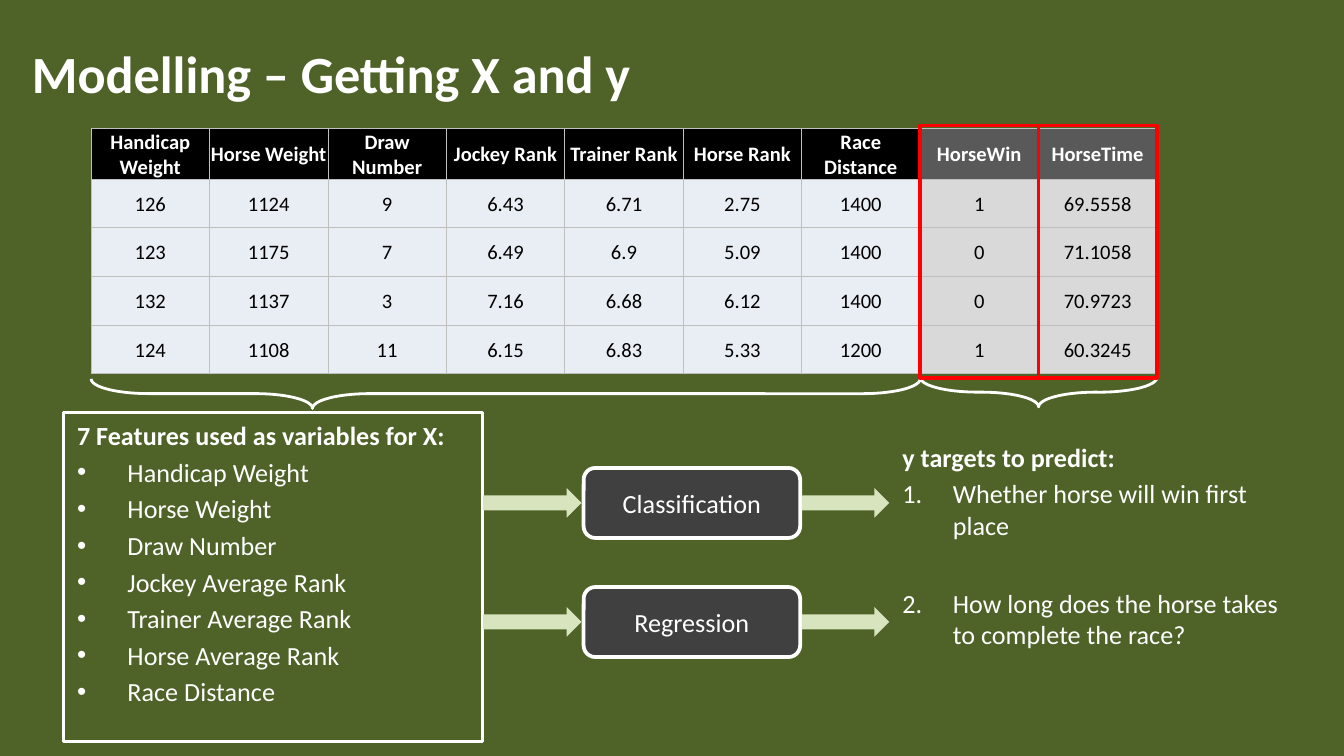
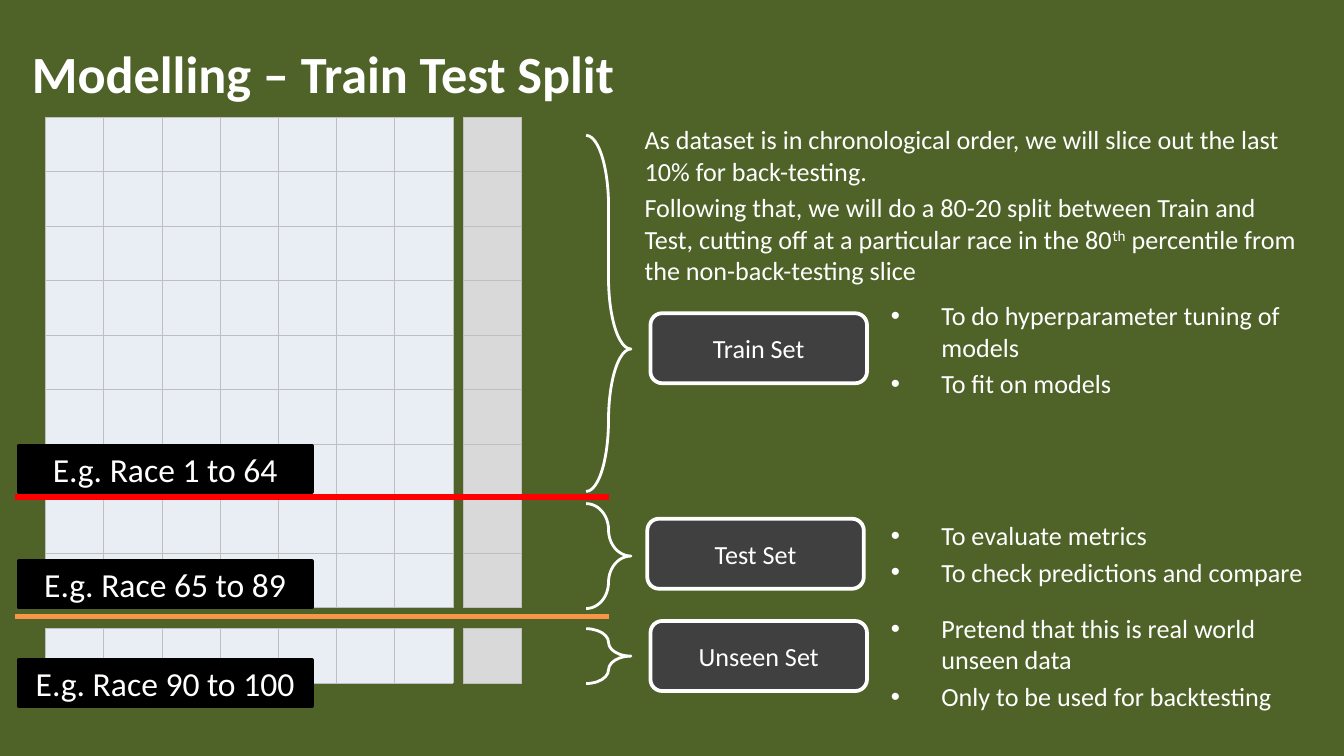
from lxml import etree
from pptx import Presentation
from pptx.dml.color import RGBColor
from pptx.enum import shapes, text
from pptx.oxml.ns import qn
from pptx.util import Pt

FONT = "Calibri"
GREEN, PALE_GREEN = "4F6228", "D7E4BD"
WHITE, BLACK, RED, ORANGE = "FFFFFF", "000000", "FF0000", "F79646"
CHARCOAL, DARK_GRAY, GRID_GRAY = "404040", "595959", "BFBFBF"
FEATURE_FILL, TARGET_FILL = "E9EDF4", "D9D9D9"
HANGING = 27
LEFT, CENTER = text.PP_ALIGN.LEFT, text.PP_ALIGN.CENTER
TOP, MIDDLE = text.MSO_ANCHOR.TOP, text.MSO_ANCHOR.MIDDLE
KIND = shapes.MSO_SHAPE


def color(value):
    return RGBColor.from_string(value)


def write(frame, paragraphs, size=14, ink=WHITE, bold=False, align=LEFT, anchor=TOP,
          bullet=None, start=1, heading=None):
    """Fill a frame; in a tuple of spans, every second span is superscript."""
    frame.word_wrap = True
    frame.vertical_anchor = anchor
    lines = ([heading] if heading else []) + list(paragraphs)
    for index, line in enumerate(lines):
        para = frame.paragraphs[0] if index == 0 else frame.add_paragraph()
        para.alignment = align
        is_heading = heading is not None and index == 0
        if index:
            para.space_before = Pt(2.8)
        if bullet and not is_heading:
            add_bullet(para, bullet, start)
        spans = (line,) if isinstance(line, str) else line
        for position, words in enumerate(spans):
            span = para.add_run()
            span.text = words
            span.font.name = FONT
            span.font.size = Pt(size)
            span.font.bold = bold or is_heading
            span.font.color.rgb = color(ink)
            if position % 2:
                span.font._element.set("baseline", "30000")


def add_bullet(para, bullet, start):
    props = para._p.get_or_add_pPr()
    props.set("marL", str(Pt(HANGING)))
    props.set("indent", str(-Pt(HANGING)))
    if bullet == "number":
        etree.SubElement(props, qn("a:buAutoNum"), type="arabicPeriod", startAt=str(start))
    else:
        etree.SubElement(props, qn("a:buFont"), typeface="Arial")
        etree.SubElement(props, qn("a:buChar"), char=bullet)


class Slides:
    """Holds the deck, the current page and the shared look."""

    def __init__(self):
        self.deck = Presentation()
        self.deck.slide_width, self.deck.slide_height = Pt(720), Pt(405)
        self.page = None

    def new_page(self, title):
        self.page = self.deck.slides.add_slide(self.deck.slide_layouts[6])
        background = self.page.background.fill
        background.solid()
        background.fore_color.rgb = color(GREEN)
        self.words(10, 8.6, 649.4, 60.5, [title], size=28, bold=True, anchor=MIDDLE)

    def words(self, left, top, width, height, paragraphs, **style):
        box = self.page.shapes.add_textbox(Pt(left), Pt(top), Pt(width), Pt(height))
        write(box.text_frame, paragraphs, **style)

    def shape(self, kind, left, top, width, height, fill=None, line=None, weight=2):
        shape = self.page.shapes.add_shape(kind, Pt(left), Pt(top), Pt(width), Pt(height))
        shape.shadow.inherit = False
        if fill:
            shape.fill.solid()
            shape.fill.fore_color.rgb = color(fill)
        else:
            shape.fill.background()
        if line:
            shape.line.color.rgb = color(line)
            shape.line.width = Pt(weight)
        else:
            shape.line.fill.background()
        return shape

    def step(self, left, top, label):
        box = self.shape(KIND.ROUNDED_RECTANGLE, left, top, 116, 37.5, CHARCOAL, WHITE)
        write(box.text_frame, [label], align=CENTER, anchor=MIDDLE)

    def race_label(self, top, label):
        box = self.shape(KIND.RECTANGLE, 10, top, 157, 24.8, BLACK, BLACK)
        write(box.text_frame, [label], size=18, align=CENTER, anchor=MIDDLE)

    def brace(self, left, top, width, height, curve, tip=0.5, rotation=0):
        brace = self.shape(KIND.RIGHT_BRACE, left, top, width, height, line=WHITE, weight=1.5)
        brace.adjustments[0], brace.adjustments[1] = curve, tip
        brace.rotation = rotation

    def brace_below(self, left, top, length, tip=0.5):
        depth = 15.8
        self.brace(left + (length - depth) / 2, top - (length - depth) / 2,
                   depth, length, 1.954, tip, rotation=90)

    def divider(self, top, ink):
        line = self.page.shapes.add_connector(
            shapes.MSO_CONNECTOR.STRAIGHT, Pt(8), Pt(top), Pt(326), Pt(top))
        line.line.color.rgb = color(ink)
        line.line.width = Pt(3)
        etree.SubElement(line._element.spPr, qn("a:effectLst"))

    def table(self, left, top, column_width, row_height, rows, fill_for):
        """Draw rows of text; fill_for(row, column) gives each cell's fill."""
        count, columns = len(rows), len(rows[0])
        table = self.page.shapes.add_table(
            count, columns, Pt(left), Pt(top),
            Pt(column_width * columns), Pt(row_height * count)).table
        table.first_row = table.horz_banding = False
        for column in table.columns:
            column.width = Pt(column_width)
        for r, row in enumerate(rows):
            table.rows[r].height = Pt(row_height)
            for c, words in enumerate(row):
                cell = table.cell(r, c)
                cell.margin_left = cell.margin_right = cell.margin_top = Pt(0.7)
                cell.margin_bottom = 0
                self.cell_borders(cell)
                cell.fill.solid()
                cell.fill.fore_color.rgb = color(fill_for(r, c))
                if words:
                    write(cell.text_frame, [words], size=11, bold=r == 0,
                          ink=WHITE if r == 0 else BLACK, align=CENTER)
                    cell.vertical_anchor = MIDDLE

    @staticmethod
    def cell_borders(cell):
        props = cell._tc.get_or_add_tcPr()
        for side in "LRTB":
            border = etree.SubElement(props, qn(f"a:ln{side}"), w=str(Pt(0.5)))
            fill = etree.SubElement(border, qn("a:solidFill"))
            etree.SubElement(fill, qn("a:srgbClr"), val=GRID_GRAY)

    def empty_grid(self, left, top, rows, columns, fill):
        self.table(left, top, 31.2, 29.2, [[""] * columns] * rows, lambda r, c: fill)


def build_features_page(slides):
    slides.new_page("Modelling – Getting X and y")

    # Data table, with its two target columns in grey
    rows = [
        ["Handicap Weight", "Horse Weight", "Draw Number", "Jockey Rank", "Trainer Rank",
         "Horse Rank", "Race Distance", "HorseWin", "HorseTime"],
        ["126", "1124", "9", "6.43", "6.71", "2.75", "1400", "1", "69.5558"],
        ["123", "1175", "7", "6.49", "6.9", "5.09", "1400", "0", "71.1058"],
        ["132", "1137", "3", "7.16", "6.68", "6.12", "1400", "0", "70.9723"],
        ["124", "1108", "11", "6.15", "6.83", "5.33", "1200", "1", "60.3245"],
    ]
    features = 7
    left, column = 48.8, 63.45

    def fill_for(r, c):
        if r == 0:
            return BLACK if c < features else DARK_GRAY
        return FEATURE_FILL if c < features else TARGET_FILL

    slides.table(left, 68.8, column, 26.1, rows, fill_for)

    # Braces and red frames
    split = left + features * column
    slides.brace_below(left, 203, features * column, tip=0.733)
    slides.brace_below(split, 202.2, 2 * column)
    for number in range(2):
        slides.shape(KIND.RECTANGLE, split + number * column, 67.2, column, 135.2, line=RED)

    # Features, models and targets
    panel = slides.shape(KIND.RECTANGLE, 34.2, 221.2, 224.5, 176, line=WHITE, weight=1.5)
    write(panel.text_frame,
          ["Handicap Weight", "Horse Weight", "Draw Number", "Jockey Average Rank",
           "Trainer Average Rank", "Horse Average Rank", "Race Distance"],
          heading="7 Features used as variables for X:", bullet="•")
    for top, model in ((250.7, "Classification"), (314.5, "Regression")):
        slides.step(312.7, top, model)
        for start, width in ((258.7, 52.8), (429.6, 46.8)):
            slides.shape(KIND.RIGHT_ARROW, start, top + 10.7, width, 16, PALE_GREEN)
    slides.words(476.4, 232.7, 224.5, 67, ["Whether horse will win first place"],
                 heading="y targets to predict:", bullet="number")
    slides.words(476.4, 311, 224.5, 45.4,
                 ["How long does the horse takes to complete the race?"],
                 bullet="number", start=2)


def build_split_page(slides):
    slides.new_page("Modelling – Train Test Split")
    slides.words(338.2, 62.8, 366.5, 90, [
        "As dataset is in chronological order, we will slice out the last 10% for back-testing.",
        ("Following that, we will do a 80-20 split between Train and Test, cutting off at a "
         "particular race in the 80", "th", " percentile from the non-back-testing slice"),
    ])

    # Data grids: features and target, known rows above unseen ones
    for top, rows in ((62.7, 9), (336.7, 1)):
        slides.empty_grid(24.4, top, rows, 7, FEATURE_FILL)
        slides.empty_grid(248.4, top, rows, 1, TARGET_FILL)

    # Race ranges and cut-off lines
    for top, label in ((238.8, "E.g. Race 1 to 64"), (300.6, "E.g. Race 65 to 89"),
                       (353.5, "E.g. Race 90 to 100")):
        slides.race_label(top, label)
    slides.divider(266.4, RED)
    slides.divider(330.3, ORANGE)

    # Braces, sets and their uses
    for top, height, tip in ((72.5, 190.8, 0.6), (269.8, 56.2, 0.5), (336.8, 29.4, 0.5)):
        slides.brace(314, top, 24, height, 1.874, tip)
    sets = (
        (348.5, 167.8, "Train Set", 157, 243.4, 67.7,
         ["To do hyperparameter tuning of models", "To fit on models"]),
        (346.8, 277.9, "Test Set", 274.8, 243.4, 43.2,
         ["To evaluate metrics", "To check predictions and compare"]),
        (348.5, 332.7, "Unseen Set", 324.5, 229.7, 80,
         ["Pretend that this is real world unseen data", "Only to be used for backtesting"]),
    )
    for left, top, name, uses_top, uses_width, uses_height, uses in sets:
        slides.step(left, top, name)
        slides.words(470.2, uses_top, uses_width, uses_height, uses, bullet="•")


def main():
    slides = Slides()
    build_features_page(slides)
    build_split_page(slides)
    slides.deck.save("out.pptx")


if __name__ == "__main__":
    main()
